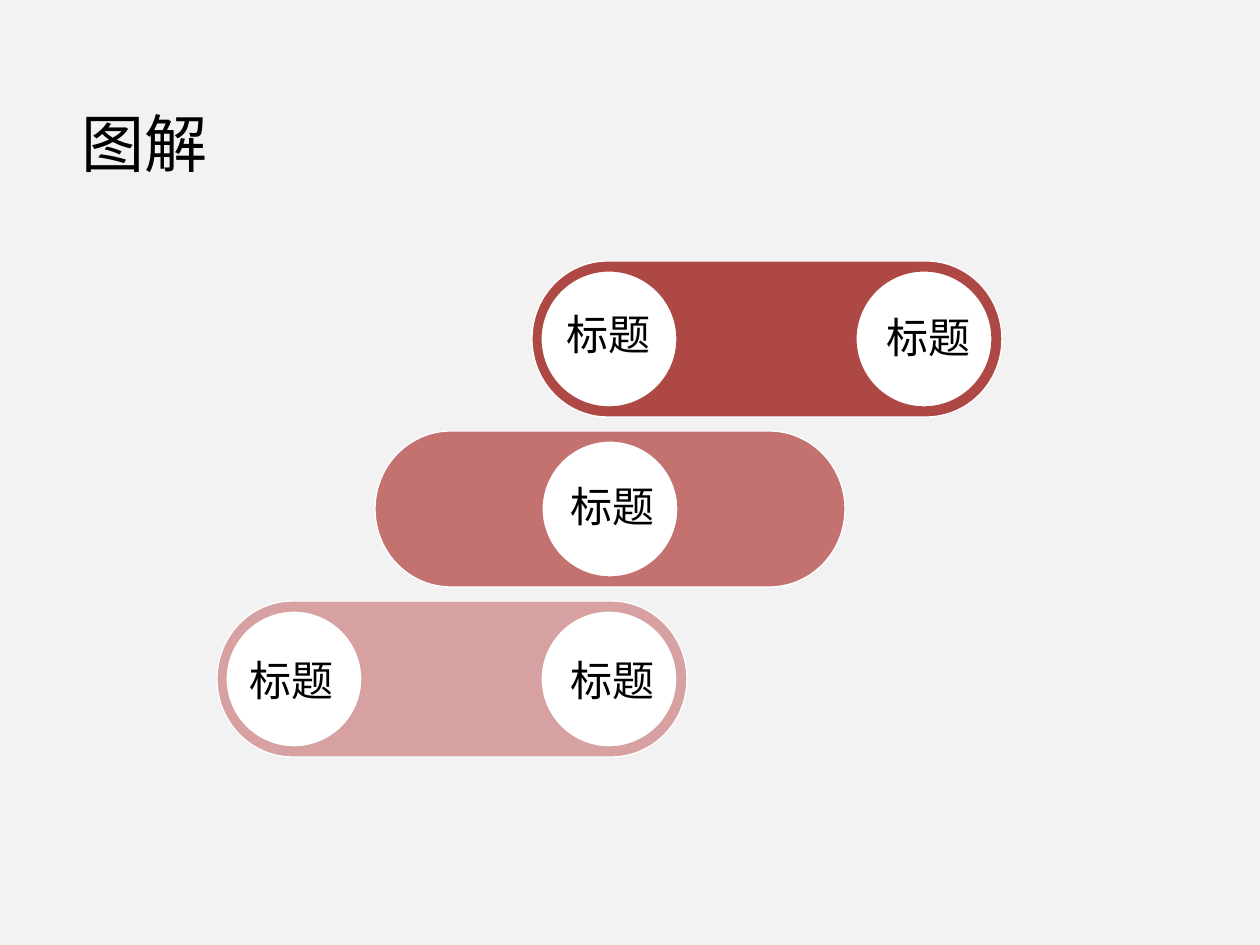
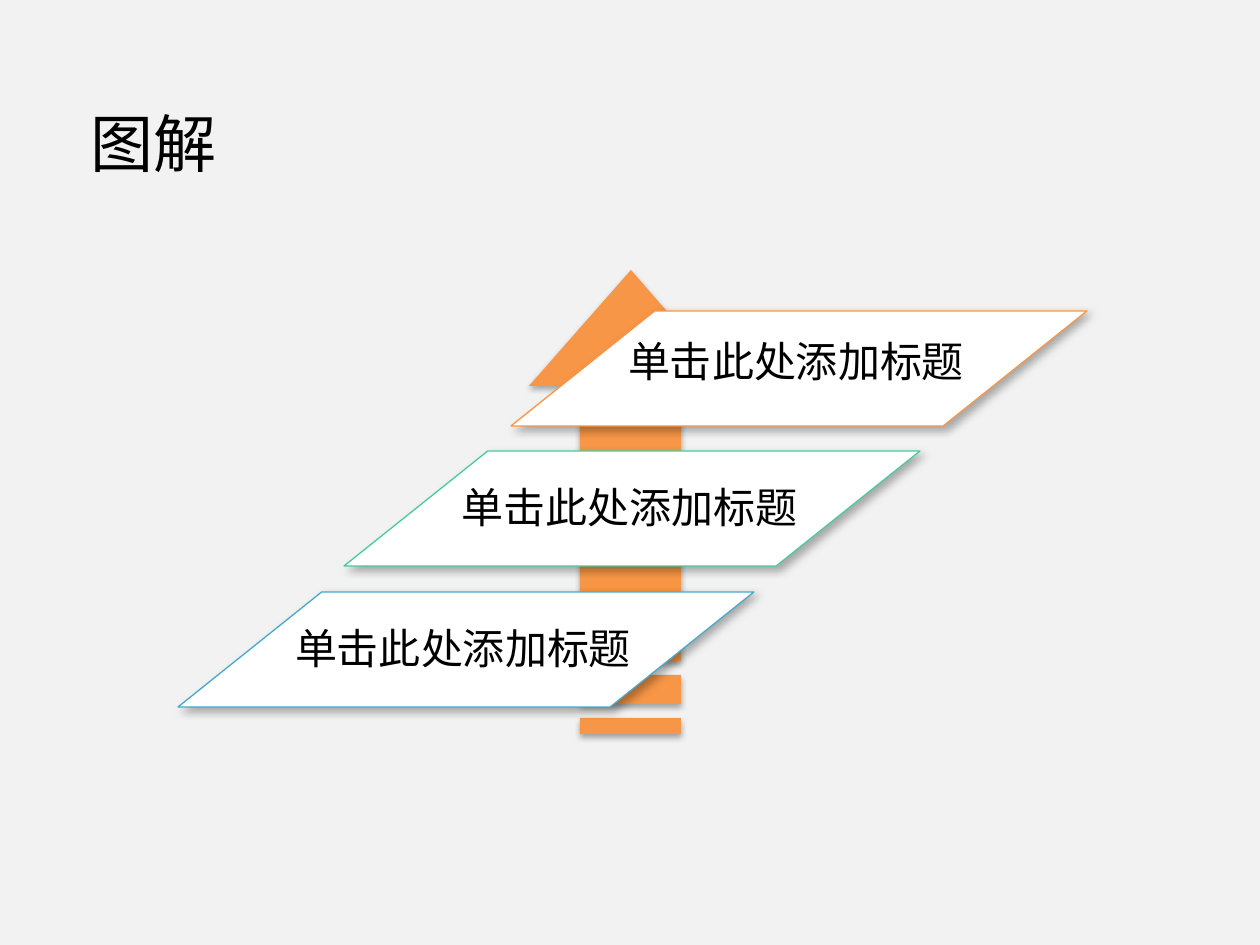
from lxml import etree
from pptx import Presentation
from pptx.dml.color import RGBColor
from pptx.enum.shapes import MSO_SHAPE as SHAPE
from pptx.enum.text import MSO_ANCHOR as ANCHOR, PP_ALIGN as ALIGN
from pptx.oxml.ns import qn
from pptx.util import Pt

# Shared style
SCALE = 914400 / 126  # EMU per px
FONT = "Noto Sans CJK SC"
BLACK = RGBColor(0, 0, 0)
WHITE = RGBColor(255, 255, 255)
PAPER = RGBColor(0xF2, 0xF2, 0xF2)
LIGHT_RED = RGBColor(0xD6, 0xA1, 0xA0)
MID_RED = RGBColor(0xC4, 0x72, 0x70)
DARK_RED = RGBColor(0xAE, 0x48, 0x45)
ORANGE = RGBColor(0xF7, 0x96, 0x46)
GREEN = RGBColor(0x47, 0xCB, 0x9F)
BLUE = RGBColor(0x48, 0xA8, 0xCA)

# Slide 1: pills from bottom to top, each with (circle offset, label left, label top)
PILL_TITLE = ("图解", 69, 413)
PILL_LABEL = "标题"
PILL_W, PILL_H, CIRCLE = 470, 156, 136
LEFT_END, CENTRE, RIGHT_END = 9, 167, 324
PILLS = [
    (LIGHT_RED, 217, 601, [(LEFT_END, 227, 648), (RIGHT_END, 548, 648)]),
    (MID_RED, 375, 431, [(CENTRE, 548, 474)]),
    (DARK_RED, 532, 261, [(LEFT_END, 544, 302), (RIGHT_END, 864, 305)]),
]

# Slide 2: arrow outlines, then plates from bottom to top with the label's top offset
PLATE_TITLE = ("图解", 78, 709)
PLATE_LABEL = "单击此处添加标题"
PLATE_W, PLATE_H, SLANT = 576, 115, 1.25
SHAFT_L, SHAFT_R = 580, 681
ARROW = [(529, 386), (SHAFT_L, 386), (SHAFT_L, 661), (SHAFT_R, 661),
         (SHAFT_R, 386), (732, 386), (631, 270)]
TAIL_BARS = [(675, 704), (718, 734)]
PLATES = [(BLUE, 178, 592, 24), (GREEN, 344, 451, 24), (ORANGE, 511, 311, 18)]


def px(*lengths):
    return [round(n * SCALE) for n in lengths]


def style_text(tf, text, size, align):
    tf.text = text
    tf.word_wrap = True
    tf.vertical_anchor = ANCHOR.MIDDLE
    p = tf.paragraphs[0]
    p.alignment = align
    p.font.size = Pt(size)
    p.font.name = FONT
    p.font.color.rgb = BLACK
    props = p._p.get_or_add_pPr().find(qn("a:defRPr"))
    etree.SubElement(props, qn("a:ea"), typeface=FONT)


def add_slide(prs, title, left, width):
    s = prs.slides.add_slide(prs.slide_layouts[5])
    sp = s.shapes.title
    sp.left, sp.top, sp.width, sp.height = px(left, 98, width, 89)
    style_text(sp.text_frame, title, 36, ALIGN.LEFT)
    return s


def add_label(s, text, *box):
    style_text(s.shapes.add_textbox(*px(*box)).text_frame, text, 24, ALIGN.CENTER)


def paint(sp, fill, line=None):
    sp.shadow.inherit = False
    sp.fill.solid()
    sp.fill.fore_color.rgb = fill
    if line is None:
        sp.line.fill.background()
    else:
        sp.line.color.rgb = line
        sp.line.width = Pt(0.75)
    return sp


def add_figure(s, kind, box, fill, line):
    return paint(s.shapes.add_shape(kind, *px(*box)), fill, line)


def cast_shadow(sp, alpha, blur, dist, angle):
    effects = sp._element.spPr.find(qn("a:effectLst"))
    shadow = etree.SubElement(
        effects, qn("a:outerShdw"), blurRad=str(Pt(blur)), dist=str(Pt(dist)),
        dir=str(angle * 60000), algn="ctr", rotWithShape="0")
    color = etree.SubElement(shadow, qn("a:srgbClr"), val=str(BLACK))
    etree.SubElement(color, qn("a:alpha"), val=str(alpha * 1000))


def build_pills(prs):
    s = add_slide(prs, *PILL_TITLE)
    inset = (PILL_H - CIRCLE) // 2
    for color, left, top, circles in PILLS:
        add_figure(s, SHAPE.FLOWCHART_TERMINATOR, (left, top, PILL_W, PILL_H), color, WHITE)
        for offset, _, _ in circles:
            add_figure(s, SHAPE.OVAL, (left + offset, top + inset, CIRCLE, CIRCLE), WHITE, color)
        for _, label_left, label_top in circles:
            add_label(s, PILL_LABEL, label_left, label_top, 129, 63)


def build_plates(prs):
    s = add_slide(prs, *PLATE_TITLE)

    # Arrow with its tail bars
    fb = s.shapes.build_freeform(*ARROW[0], scale=SCALE)
    fb.add_line_segments(ARROW[1:], close=True)
    for top, bottom in TAIL_BARS:
        fb.move_to(SHAFT_L, bottom)
        fb.add_line_segments([(SHAFT_R, bottom), (SHAFT_R, top), (SHAFT_L, top)], close=True)
    cast_shadow(paint(fb.convert_to_shape(), ORANGE), 32, 3.5, 2.2, 90)

    # Slanted plates
    for color, left, top, label_dy in PLATES:
        sp = add_figure(s, SHAPE.PARALLELOGRAM, (left, top, PLATE_W, PLATE_H), WHITE, color)
        sp.adjustments[0] = SLANT
        cast_shadow(sp, 30, 4.5, 2.6, 53)
        add_label(s, PLATE_LABEL, left + 88, top + label_dy, 394, 63)


def main():
    prs = Presentation()
    prs.slide_width, prs.slide_height = px(1260, 945)
    background = prs.slide_master.background.fill
    background.solid()
    background.fore_color.rgb = PAPER
    build_pills(prs)
    build_plates(prs)
    prs.save("out.pptx")


if __name__ == "__main__":
    main()
